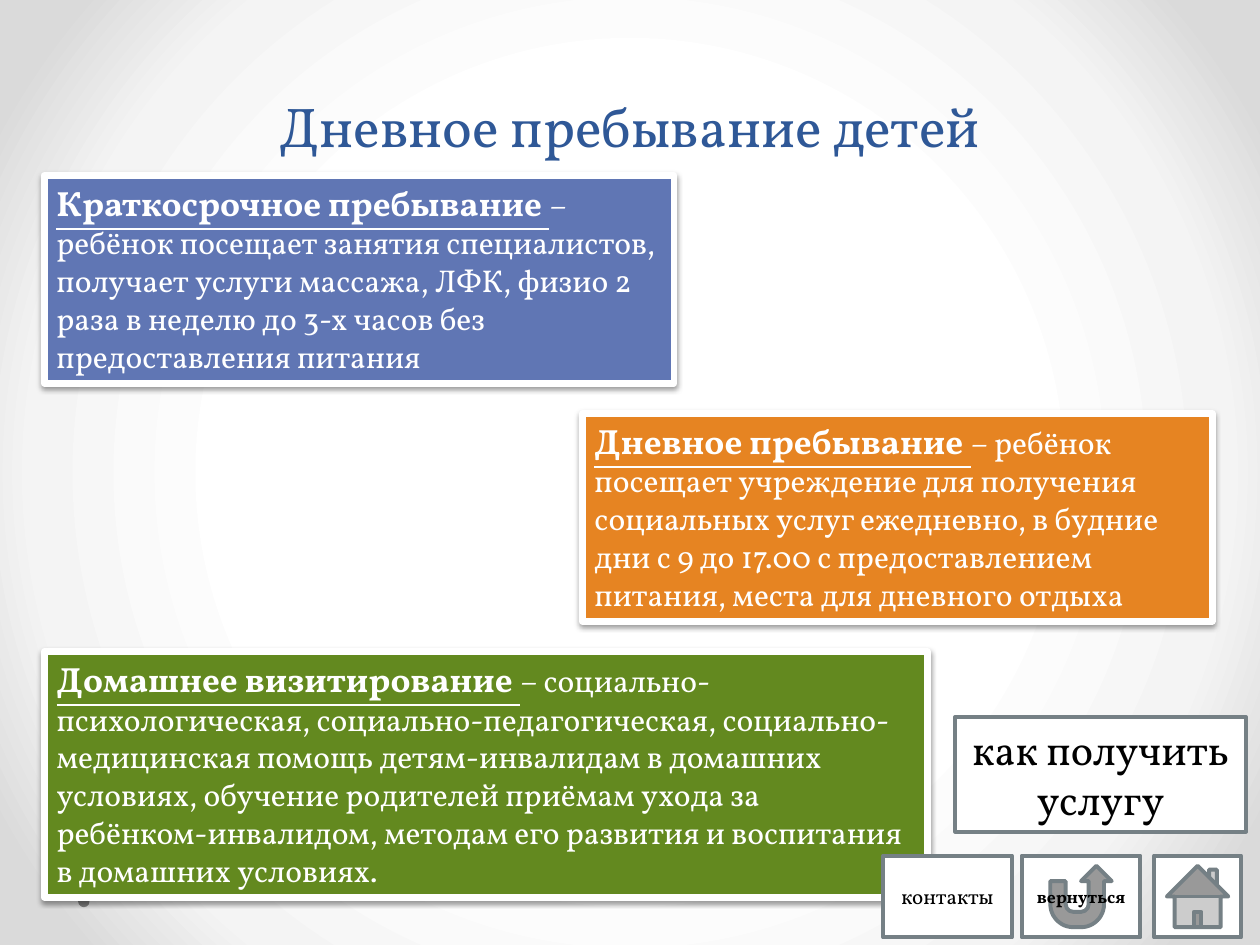
from lxml.etree import SubElement
from pptx import Presentation
from pptx.dml.color import RGBColor
from pptx.enum.shapes import MSO_SHAPE
from pptx.enum.text import MSO_ANCHOR, MSO_AUTO_SIZE, PP_ALIGN
from pptx.oxml import parse_xml
from pptx.oxml.ns import nsdecls, qn
from pptx.util import Inches, Pt

FONT = "Vollkorn"
COLORS = {
    "title": "2F5897",
    "blue": "6076B4",
    "orange": "E68422",
    "green": "63891F",
    "white": "FFFFFF",
    "black": "000000",
    "border": "758085",
    "dot": "808080",
}
BACKGROUND_STOPS = [(50, "FFFFFF"), (76, "F4F4F4"), (92, "DADADA")]

# left, top, width, height, fill, heading, description
CARDS = [
    (0.35, 1.39, 5, 1.65, "blue", "Краткосрочное пребывание ",
     "– ребёнок посещает занятия специалистов, получает услуги массажа, "
     "ЛФК, физио 2 раза в неделю до 3-х часов без предоставления питания"),
    (4.62, 3.28, 5, 1.65, "orange", "Дневное пребывание ",
     "– ребёнок посещает учреждение для получения социальных услуг ежедневно, "
     "в будние дни с 9 до 17.00 с предоставлением питания, "
     "места для дневного отдыха"),
    (0.35, 5.17, 7.01, 1.95, "green", "Домашнее визитирование ",
     "– социально-психологическая, социально-педагогическая, "
     "социально-медицинская помощь детям-инвалидам в домашних условиях, "
     "обучение родителей приёмам ухода за ребёнком-инвалидом, "
     "методам его развития и воспитания в домашних условиях."),
]


class SlideBuilder:
    def __init__(self, slide):
        self.slide = slide

    def color(self, name):
        return RGBColor.from_string(COLORS[name])

    def style(self, font, size, color, bold=False):
        font.name, font.size, font.bold = FONT, Pt(size), bold
        font.color.rgb = self.color(color)

    def background(self):
        """Fill the background with a gradient spreading from the centre."""
        fill = self.slide.background.fill
        fill.gradient()
        stops = "".join(
            f'<a:gs pos="{pos * 1000}"><a:srgbClr val="{rgb}"/></a:gs>'
            for pos, rgb in BACKGROUND_STOPS)
        grad = parse_xml(
            f'<a:gradFill {nsdecls("a")} rotWithShape="1">'
            f'<a:gsLst>{stops}</a:gsLst><a:path path="circle">'
            '<a:fillToRect l="50000" t="50000" r="50000" b="50000"/>'
            '</a:path></a:gradFill>')
        old = next(self.slide.element.iter(qn("a:gradFill")))
        old.getparent().replace(old, grad)

    def shape(self, kind, box, fill, line=None, width=0):
        sp = self.slide.shapes.add_shape(kind, *map(Inches, box))
        sp.shadow.inherit = False
        sp.fill.solid()
        sp.fill.fore_color.rgb = self.color(fill)
        if line:
            sp.line.color.rgb = self.color(line)
            sp.line.width = Pt(width)
        else:
            sp.line.fill.background()
        return sp

    def title(self, box, text):
        tf = self.slide.shapes.add_textbox(*map(Inches, box)).text_frame
        tf.word_wrap = True
        tf.vertical_anchor = MSO_ANCHOR.BOTTOM
        p = tf.paragraphs[0]
        p.text = text
        p.alignment = PP_ALIGN.CENTER
        p.line_spacing = Pt(58)
        self.style(p.font, 32, "title")

    def drop_shadow(self, sp):
        effects = sp.element.spPr.find(qn("a:effectLst"))
        shadow = SubElement(
            effects, qn("a:outerShdw"), blurRad=str(Pt(3.1)),
            dist=str(Pt(1.6)), dir="5400000", algn="ctr", rotWithShape="0")
        rgb = SubElement(shadow, qn("a:srgbClr"), val=COLORS["black"])
        SubElement(rgb, qn("a:alpha"), val="38000")

    def card(self, box, fill, heading, description):
        sp = self.shape(MSO_SHAPE.RECTANGLE, box, fill, "white", 4)
        self.drop_shadow(sp)
        tf = sp.text_frame
        tf.word_wrap = True
        tf.auto_size = MSO_AUTO_SIZE.SHAPE_TO_FIT_TEXT
        tf.vertical_anchor = MSO_ANCHOR.TOP
        p = tf.paragraphs[0]
        p.alignment = PP_ALIGN.LEFT
        for text, size, strong in ((heading, 20, True),
                                   (description, 18, False)):
            r = p.add_run()
            r.text = text
            self.style(r.font, size, "white", strong)
            r.font.underline = strong

    def button(self, kind, box, text="", size=12, bold=False):
        sp = self.shape(kind, box, "white", "border", 2.25)
        if text:
            tf = sp.text_frame
            tf.word_wrap = True
            tf.vertical_anchor = MSO_ANCHOR.MIDDLE
            p = tf.paragraphs[0]
            p.text = text
            p.alignment = PP_ALIGN.CENTER
            self.style(p.font, size, "black", bold)
        return sp


def main():
    prs = Presentation()
    prs.slide_width, prs.slide_height = Inches(10), Inches(7.5)
    s = SlideBuilder(prs.slides.add_slide(prs.slide_layouts[6]))

    s.background()
    s.shape(MSO_SHAPE.OVAL, (0.62, 7.11, 0.09, 0.09), "dot")
    s.title((0.5, 0.21, 9, 1.1), "Дневное пребывание детей")
    for *box, fill, heading, description in CARDS:
        s.card(box, fill, heading, description)

    top, height = 6.79, 0.65
    s.button(MSO_SHAPE.ACTION_BUTTON_RETURN, (8.11, top, 0.94, height),
             "вернуться", 10, True)
    s.button(MSO_SHAPE.ACTION_BUTTON_HOME, (9.16, top, 0.69, height))
    s.button(MSO_SHAPE.ACTION_BUTTON_CUSTOM, (7.01, top, 1.02, height),
             "контакты")
    how_to = s.button(MSO_SHAPE.RECTANGLE, (7.58, 5.69, 2.31, 0.91),
                      "как получить услугу", 24)
    how_to.text_frame.auto_size = MSO_AUTO_SIZE.SHAPE_TO_FIT_TEXT
    how_to.text_frame.vertical_anchor = MSO_ANCHOR.TOP

    prs.save("out.pptx")


if __name__ == "__main__":
    main()
